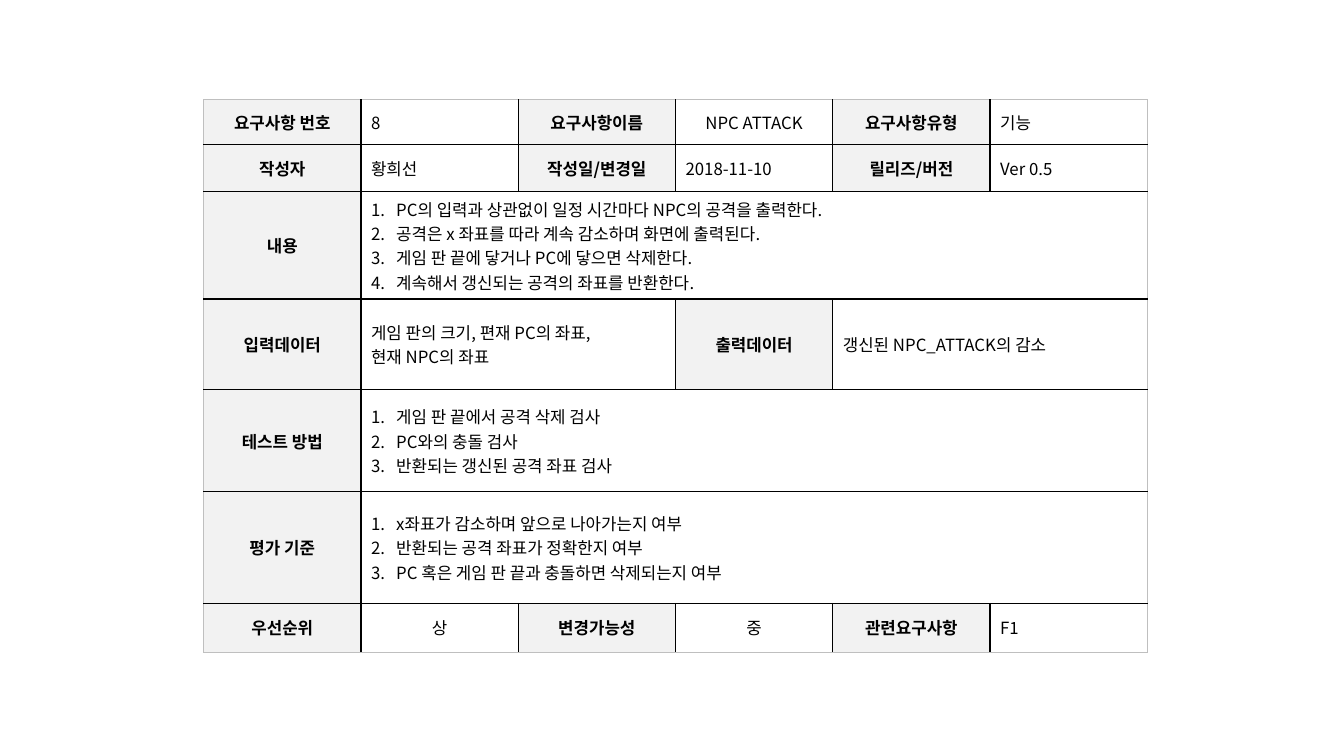
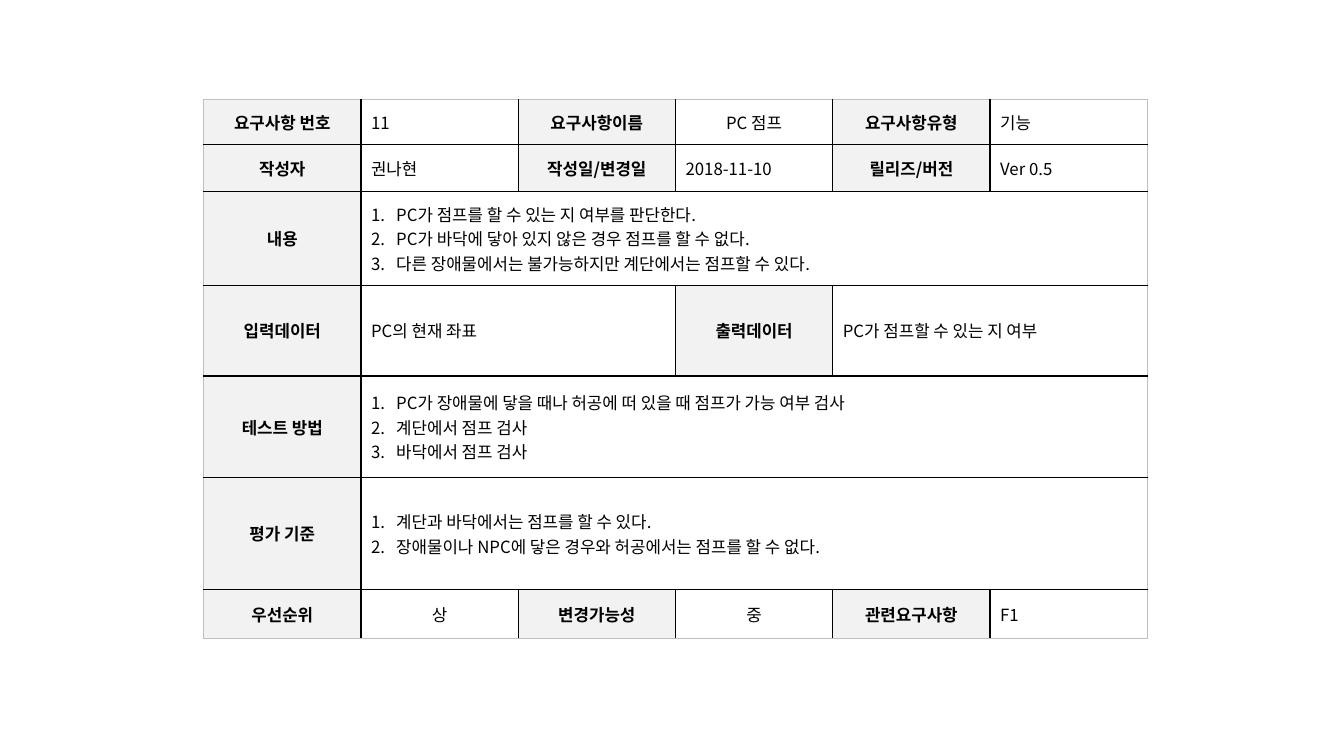
from dataclasses import dataclass

from lxml import etree
from pptx import Presentation, util as u
from pptx.dml.color import RGBColor
from pptx.enum import text
from pptx.oxml import ns


@dataclass(frozen=True)
class Theme:
    font: str = "Noto Sans CJK KR"
    size: int = 12
    ink: str = "000000"
    label_fill: str = "F2F2F2"
    value_fill: str = "FFFFFF"
    frame: str = "BFBFBF"
    inner_line: float = 1
    frame_line: float = 0.5


theme = Theme()
LEFT, TOP, COLUMN = 2.02, 0.99, 1.56
COLUMNS = 6
ROW_HEIGHTS = [0.44, 0.47, 0.93, 0.9, 1.01, 1.11, 0.48]

FORM = [
    [("요구사항 번호", 1), ("요구사항이름", 1), ("요구사항유형", 1)],
    [("작성자", 1), ("작성일/변경일", 1), ("릴리즈/버전", 1)],
    [("내용", 5)],
    [("입력데이터", 2), ("출력데이터", 2)],
    [("테스트 방법", 5)],
    [("평가 기준", 5)],
    [("우선순위", 1), ("변경가능성", 1), ("관련요구사항", 1)],
]
CENTRED = {"요구사항이름", "우선순위", "변경가능성"}
NUMBERED = {"내용", "테스트 방법", "평가 기준"}

COMMON = {
    "요구사항유형": ["기능"],
    "작성일/변경일": ["2018-11-10"],
    "릴리즈/버전": ["Ver 0.5"],
    "우선순위": ["상"],
    "변경가능성": ["중"],
    "관련요구사항": ["F1"],
}
REQUIREMENTS = [
    {
        "요구사항 번호": ["8"],
        "요구사항이름": ["NPC ATTACK"],
        "작성자": ["황희선"],
        "내용": [
            "PC의 입력과 상관없이 일정 시간마다 NPC의 공격을 출력한다.",
            "공격은 x 좌표를 따라 계속 감소하며 화면에 출력된다.",
            "게임 판 끝에 닿거나 PC에 닿으면 삭제한다.",
            "계속해서 갱신되는 공격의 좌표를 반환한다.",
        ],
        "입력데이터": ["게임 판의 크기, 편재 PC의 좌표,", "현재 NPC의 좌표"],
        "출력데이터": ["갱신된 NPC_ATTACK의 감소"],
        "테스트 방법": [
            "게임 판 끝에서 공격 삭제 검사",
            "PC와의 충돌 검사",
            "반환되는 갱신된 공격 좌표 검사",
        ],
        "평가 기준": [
            "x좌표가 감소하며 앞으로 나아가는지 여부",
            "반환되는 공격 좌표가 정확한지 여부",
            "PC 혹은 게임 판 끝과 충돌하면 삭제되는지 여부",
        ],
    },
    {
        "요구사항 번호": ["11"],
        "요구사항이름": ["PC 점프"],
        "작성자": ["권나현"],
        "내용": [
            "PC가 점프를 할 수 있는 지 여부를 판단한다.",
            "PC가 바닥에 닿아 있지 않은 경우 점프를 할 수 없다.",
            "다른 장애물에서는 불가능하지만 계단에서는 점프할 수 있다.",
        ],
        "입력데이터": ["PC의 현재 좌표"],
        "출력데이터": ["PC가 점프할 수 있는 지 여부"],
        "테스트 방법": [
            "PC가 장애물에 닿을 때나 허공에 떠 있을 때 점프가 가능 여부 검사",
            "계단에서 점프 검사",
            "바닥에서 점프 검사",
        ],
        "평가 기준": [
            "계단과 바닥에서는 점프를 할 수 있다.",
            "장애물이나 NPC에 닿은 경우와 허공에서는 점프를 할 수 없다.",
        ],
    },
]


def write_cell(cell, lines, fill, bold=False, centred=False, numbered=False):
    cell.fill.solid()
    cell.fill.fore_color.rgb = RGBColor.from_string(fill)
    cell.vertical_anchor = text.MSO_ANCHOR.MIDDLE
    cell.text = "\n".join(lines)
    for para in cell.text_frame.paragraphs:
        para.alignment = text.PP_ALIGN.CENTER if centred else text.PP_ALIGN.LEFT
        font = para.font
        font.name, font.size, font.bold = theme.font, u.Pt(theme.size), bold
        font.color.rgb = RGBColor.from_string(theme.ink)
        properties = para._p.get_or_add_pPr()
        east_asian = etree.SubElement(properties.find(ns.qn("a:defRPr")), ns.qn("a:ea"))
        east_asian.set("typeface", theme.font)
        if numbered:
            properties.set("marL", str(u.Inches(0.25)))
            properties.set("indent", str(-u.Inches(0.25)))
            number = etree.Element(ns.qn("a:buAutoNum"), type="arabicPeriod")
            properties.insert(0, number)


def draw_borders(cell, outer_sides):
    properties = cell._tc.get_or_add_tcPr()
    for position, side in enumerate("LRTB"):
        outer = side in outer_sides
        width = theme.frame_line if outer else theme.inner_line
        line = etree.Element(ns.qn(f"a:ln{side}"), w=str(u.Pt(width)))
        paint = etree.SubElement(line, ns.qn("a:solidFill"))
        color = theme.frame if outer else theme.ink
        etree.SubElement(paint, ns.qn("a:srgbClr"), val=color)
        properties.insert(position, line)


deck = Presentation()
deck.slide_width, deck.slide_height = u.Inches(13.33), u.Inches(7.5)

for requirement in REQUIREMENTS:
    values = COMMON | requirement
    page = deck.slides.add_slide(deck.slide_layouts[6])
    table = page.shapes.add_table(
        len(FORM), COLUMNS, u.Inches(LEFT), u.Inches(TOP),
        u.Inches(COLUMN * COLUMNS), u.Inches(sum(ROW_HEIGHTS)),
    ).table
    table.first_row = table.horz_banding = False
    for column in table.columns:
        column.width = u.Inches(COLUMN)
    for row, height in zip(table.rows, ROW_HEIGHTS):
        row.height = u.Inches(height)

    for row, fields in enumerate(FORM):
        column = 0
        for label, span in fields:
            write_cell(table.cell(row, column), [label], theme.label_fill,
                       bold=True, centred=True)
            box = table.cell(row, column + 1)
            if span > 1:
                box.merge(table.cell(row, column + span))
            write_cell(box, values[label], theme.value_fill,
                       centred=label in CENTRED, numbered=label in NUMBERED)
            column += 1 + span

        for column in range(COLUMNS):
            edges = {"L": column == 0, "R": column == COLUMNS - 1,
                     "T": row == 0, "B": row == len(FORM) - 1}
            cell = table.cell(row, column)
            if cell.is_merge_origin:
                edges["R"] = column + cell.span_width == COLUMNS
            draw_borders(cell, {side for side, outer in edges.items() if outer})

deck.save("out.pptx")
